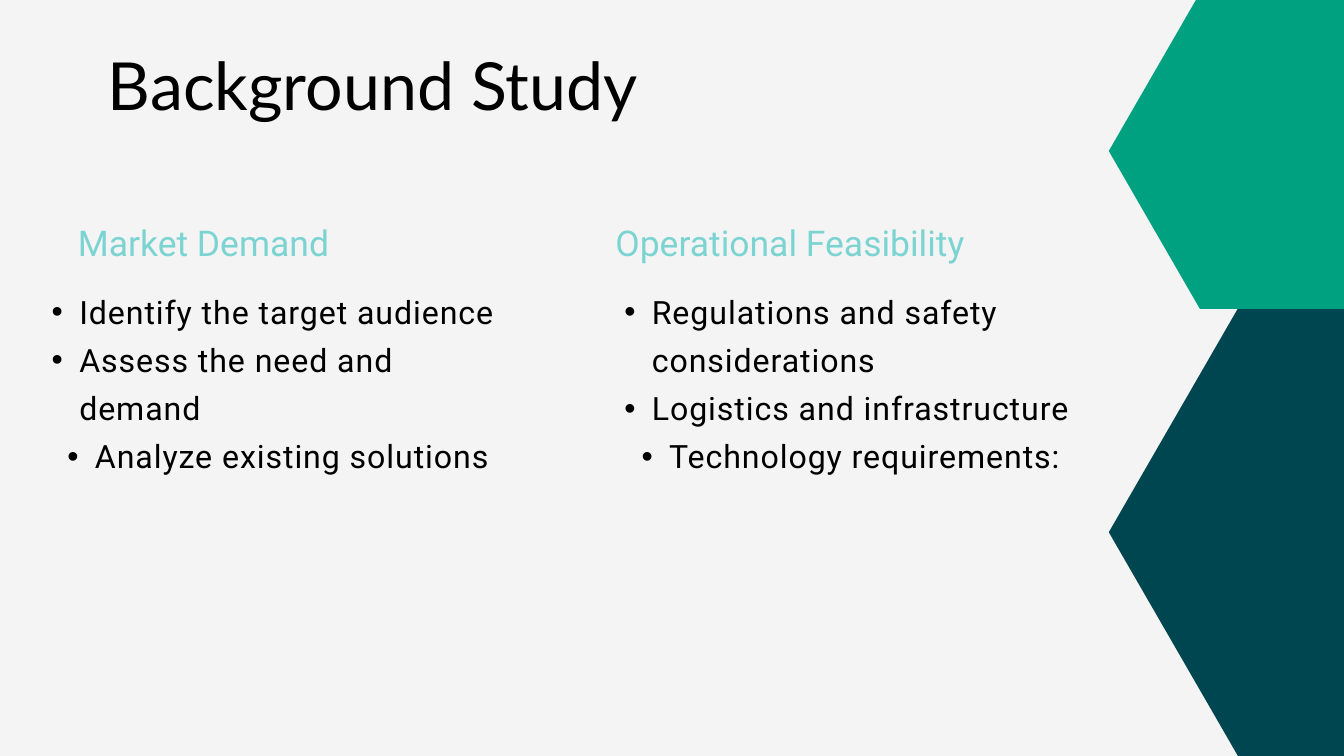
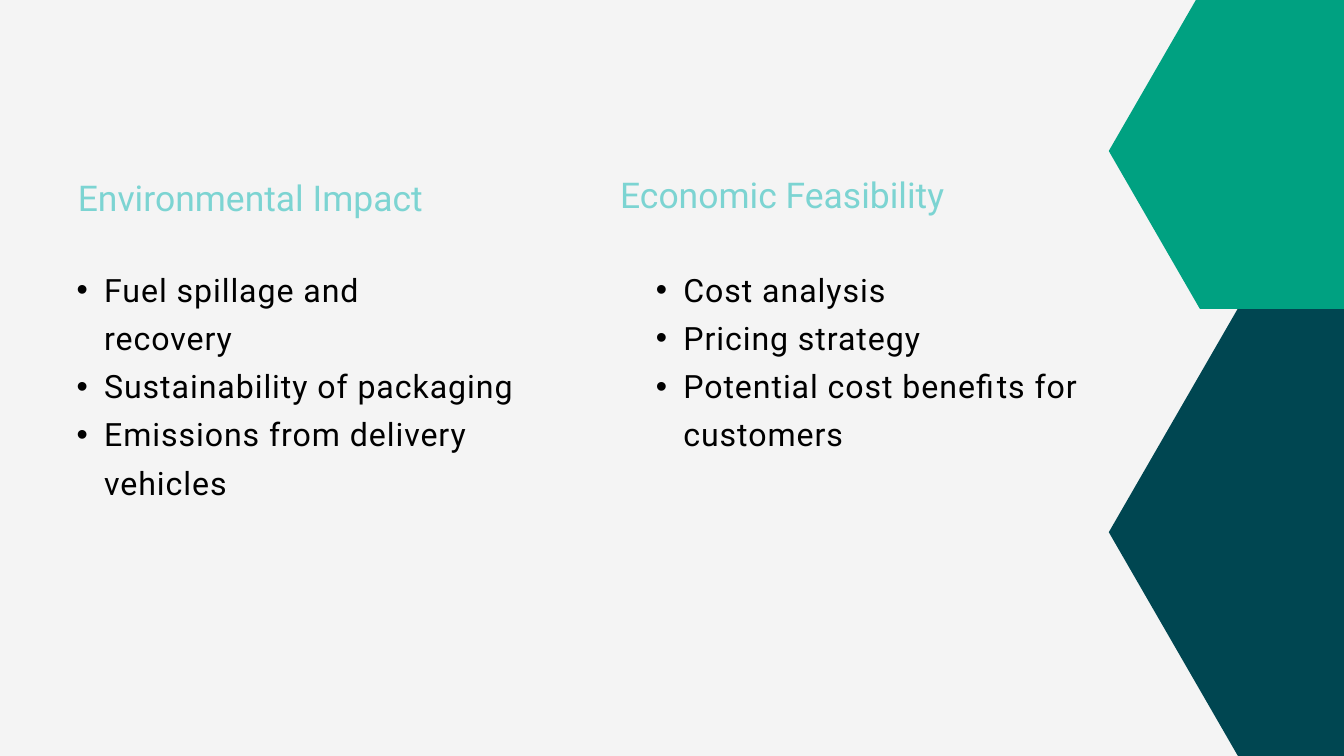
from lxml import etree
from pptx import Presentation
from pptx.dml.color import RGBColor
from pptx.enum.shapes import MSO_SHAPE
from pptx.enum.text import MSO_ANCHOR, PP_ALIGN
from pptx.oxml.ns import qn
from pptx.util import Inches, Pt

HEXAGON = MSO_SHAPE.HEXAGON
ROUNDED = MSO_SHAPE.ROUNDED_RECTANGLE
TOP = MSO_ANCHOR.TOP
LEFT = PP_ALIGN.LEFT
CENTER = PP_ALIGN.CENTER

PAPER = RGBColor(0xF4, 0xF4, 0xF4)
TEAL = RGBColor(0x00, 0x46, 0x51)
GREEN = RGBColor(0x00, 0xA1, 0x81)
AQUA = RGBColor(0x7C, 0xD4, 0xD2)
BLACK = RGBColor(0, 0, 0)

TITLE_FONT = "Lato"
BODY_FONT = "Roboto"
GRID = 100
HEXAGON_SLANT = 0.2885
PANEL_ROUNDING = 0.03
LIST_INDENT = Inches(0.81)
LIST_HANG = Inches(0.41)


def add_bullet(para):
    properties = para._p.get_or_add_pPr()
    properties.set("marL", str(LIST_INDENT))
    properties.set("indent", str(-LIST_HANG))
    etree.SubElement(properties, qn("a:buFont"), typeface="Arial")
    etree.SubElement(properties, qn("a:buChar"), char="•")


def write(para, text, font=BODY_FONT, size=34.4, color=BLACK, align=LEFT,
          leading=51.6, tracking=0, bullet=False):
    para.text = text
    para.alignment = align
    para.line_spacing = Pt(leading)
    if bullet:
        para.level = 1
        add_bullet(para)
    for span in para.runs:
        span.font.name = font
        span.font.size = Pt(size)
        span.font.color.rgb = color
        if tracking:
            span._r.get_or_add_rPr().set("spc", str(tracking * 100))


class Deck:
    def __init__(self):
        self.deck = Presentation()
        self.deck.slide_width = Inches(20)
        self.deck.slide_height = Inches(11.25)
        self.page = None

    def place(self, column, row, columns, rows):
        across = self.deck.slide_width / GRID
        down = self.deck.slide_height / GRID
        return (round(column * across), round(row * down),
                round(columns * across), round(rows * down))

    def add_page(self):
        self.page = self.deck.slides.add_slide(self.deck.slide_layouts[6])
        background = self.page.background.fill
        background.solid()
        background.fore_color.rgb = PAPER
        self.shape(HEXAGON, (82.5, 40.8, 38.45, 59.2), TEAL, HEXAGON_SLANT)
        self.shape(HEXAGON, (82.5, -0.9, 27.15, 41.75), GREEN, HEXAGON_SLANT)

    def shape(self, kind, area, color, adjustment):
        shape = self.page.shapes.add_shape(kind, *self.place(*area))
        shape.adjustments[0] = adjustment
        shape.shadow.inherit = False
        shape.fill.solid()
        shape.fill.fore_color.rgb = color
        shape.line.fill.background()
        return shape

    def frame(self, area):
        frame = self.page.shapes.add_textbox(*self.place(*area)).text_frame
        frame.word_wrap = True
        frame.margin_left = frame.margin_right = 0
        frame.margin_top = frame.margin_bottom = 0
        return frame

    def title(self, text):
        frame = self.frame((5.6, 4.1, 44.3, 11.8))
        write(frame.paragraphs[0], text, font=TITLE_FONT, size=71,
              align=CENTER, leading=99.4)

    def heading(self, text, column, row, columns):
        panel = self.shape(ROUNDED, (column, row, columns, 18.85), PAPER, PANEL_ROUNDING)
        frame = panel.text_frame
        frame.word_wrap = True
        frame.vertical_anchor = TOP
        frame.margin_left = Inches(0.4)
        frame.margin_top = Inches(0.25)
        write(frame.paragraphs[0], text, size=38, color=AQUA, leading=53.2)

    def bullets(self, items, column, row, rows=43.75, last_align=LEFT):
        frame = self.frame((column, row, 35.7, rows))
        for index, item in enumerate(items):
            para = frame.add_paragraph() if index else frame.paragraphs[0]
            align = last_align if index == len(items) - 1 else LEFT
            write(para, item, align=align, tracking=1, bullet=True)

    def save(self):
        self.deck.save("out.pptx")


def main():
    deck = Deck()

    deck.add_page()
    deck.title("Background Study")
    deck.heading("Market Demand", 3.7, 25.95, 26.65)
    deck.bullets(["Identify the target audience", "Assess the need and demand",
                  "Analyze existing solutions"], 1.85, 37.4, last_align=CENTER)
    deck.heading("Operational Feasibility", 43.7, 25.95, 36.5)
    deck.bullets(["Regulations and safety considerations",
                  "Logistics and infrastructure",
                  "Technology requirements:"], 44.45, 37.4, last_align=CENTER)

    deck.add_page()
    deck.heading("Environmental Impact", 3.7, 20, 32)
    deck.bullets(["Fuel spillage and\vrecovery", "Sustainability of packaging",
                  "Emissions from delivery vehicles"], 3.7, 34.5)
    deck.heading("Economic Feasibility", 44.05, 19.5, 36.5)
    deck.bullets(["Cost analysis", "Pricing strategy",
                  "Potential cost benefits for customers"], 46.8, 34.5, rows=37.4)

    deck.save()


if __name__ == "__main__":
    main()
